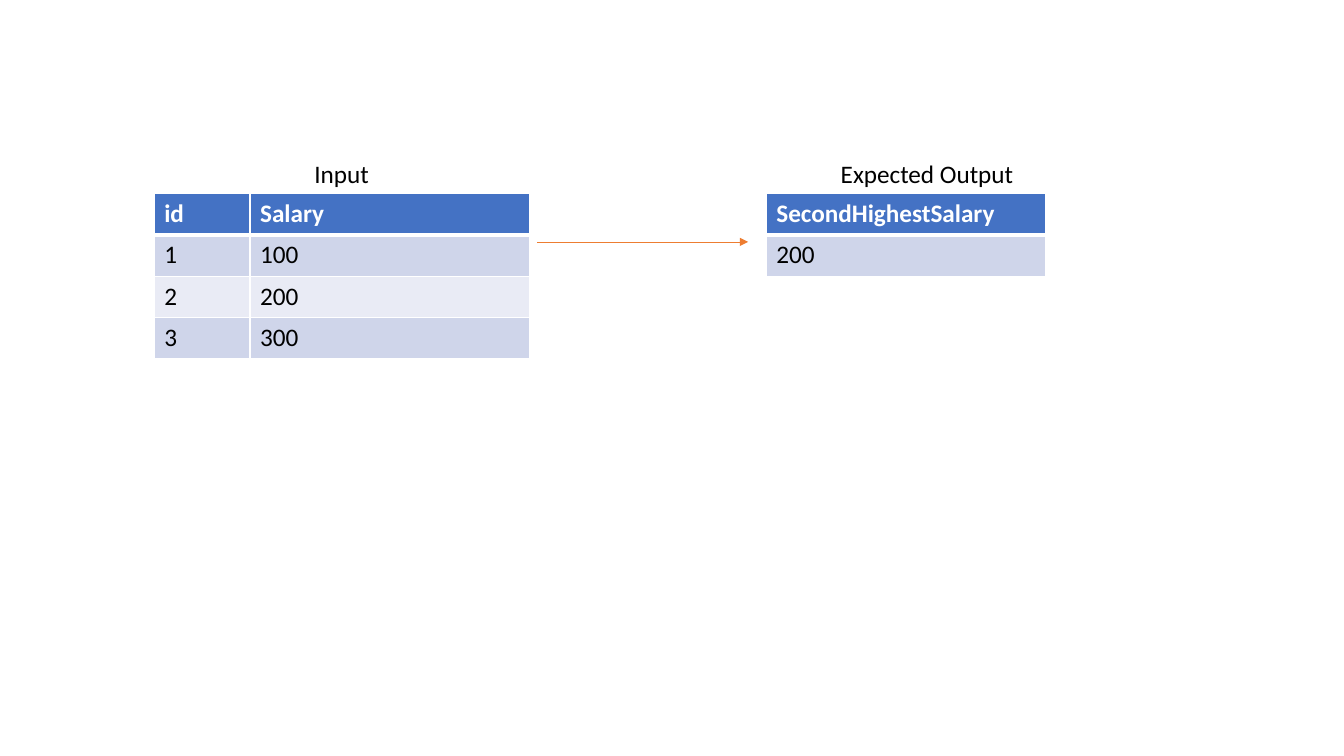
import pptx
import pptx.dml.color
import pptx.enum.shapes
import pptx.enum.text
import pptx.oxml.ns
import pptx.util
from lxml import etree
from pptx.util import Inches

WHITE = "FFFFFF"
BLACK = "000000"
HEADER_BLUE = "4472C4"
BAND_COLORS = ("CFD5EA", "E9EBF5")
ARROW_ORANGE = "ED7D31"
TABLE_TOP = 1.92
ROW_HEIGHT = 0.41
LABEL_TOP = 1.52
LABEL_HEIGHT = 0.4


def rgb(color):
    return pptx.dml.color.RGBColor.from_string(color)


def add_child(parent, tag, **attributes):
    return etree.SubElement(parent, pptx.oxml.ns.qn(tag), attributes)


def write_text(text_frame, text, color=BLACK, bold=False, size=18, font="Calibri"):
    run = text_frame.paragraphs[0].add_run()
    run.text = text
    run.font.name = font
    run.font.size = pptx.util.Pt(size)
    run.font.bold = bold
    run.font.color.rgb = rgb(color)


def set_borders(cell, color=WHITE, **widths):
    """Draw the cell's borders; widths in points are keyed by side: L, R, T, B."""
    properties = cell._tc.get_or_add_tcPr()
    for side in "LRTB":
        width = pptx.util.Pt(widths.get(side, 1))
        border = add_child(properties, f"a:ln{side}", w=str(width))
        fill = add_child(border, "a:solidFill")
        add_child(fill, "a:srgbClr", val=color)


def add_data_table(slide, left, column_widths, rows):
    """Add a table whose first row is the header, with banded rows below."""
    table = slide.shapes.add_table(
        len(rows), len(column_widths), Inches(left), Inches(TABLE_TOP),
        Inches(sum(column_widths)), Inches(ROW_HEIGHT * len(rows))).table
    for column, width in zip(table.columns, column_widths):
        column.width = Inches(width)
    for row_index, values in enumerate(rows):
        table.rows[row_index].height = Inches(ROW_HEIGHT)
        is_header = row_index == 0
        fill_color = HEADER_BLUE if is_header else BAND_COLORS[(row_index - 1) % 2]
        for column_index, value in enumerate(values):
            cell = table.cell(row_index, column_index)
            set_borders(cell, T=3 if row_index == 1 else 1, B=3 if is_header else 1)
            cell.fill.solid()
            cell.fill.fore_color.rgb = rgb(fill_color)
            write_text(cell.text_frame, value,
                       color=WHITE if is_header else BLACK, bold=is_header)


def add_label(slide, text, left, width):
    shape = slide.shapes.add_textbox(
        Inches(left), Inches(LABEL_TOP), Inches(width), Inches(LABEL_HEIGHT))
    shape.text_frame.word_wrap = False
    shape.text_frame.auto_size = pptx.enum.text.MSO_AUTO_SIZE.SHAPE_TO_FIT_TEXT
    write_text(shape.text_frame, text)


def add_arrow(slide, start, end, y):
    arrow = slide.shapes.add_connector(
        pptx.enum.shapes.MSO_CONNECTOR.STRAIGHT,
        Inches(start), Inches(y), Inches(end), Inches(y))
    arrow.line.color.rgb = rgb(ARROW_ORANGE)
    arrow.line.width = pptx.util.Pt(0.5)
    add_child(arrow.line._get_or_add_ln(), "a:tailEnd", type="triangle")
    add_child(arrow._element.spPr, "a:effectLst")


def main():
    presentation = pptx.Presentation()
    presentation.slide_width = Inches(13.33)
    presentation.slide_height = Inches(7.5)
    slide = presentation.slides.add_slide(presentation.slide_layouts[6])

    add_data_table(slide, 1.53, (0.95, 2.77),
                   [("id", "Salary"), ("1", "100"), ("2", "200"), ("3", "300")])
    add_data_table(slide, 7.6, (2.77,), [("SecondHighestSalary",), ("200",)])
    add_label(slide, "Input", 3.02, 0.75)
    add_label(slide, "Expected Output", 8.24, 1.93)
    add_arrow(slide, 5.33, 7.42, 2.4)

    presentation.save("out.pptx")


if __name__ == "__main__":
    main()
